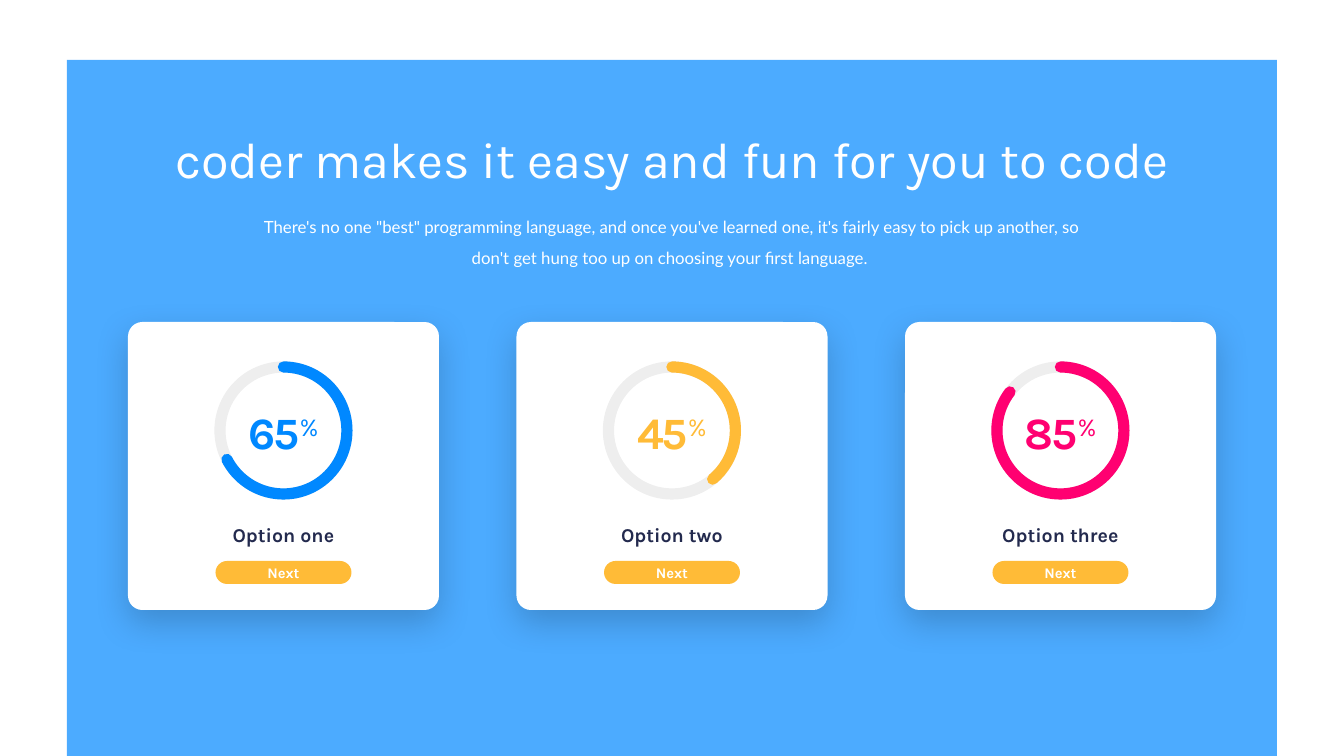
from lxml.etree import SubElement
from pptx import Presentation
from pptx.dml.color import RGBColor
from pptx.enum.shapes import MSO_SHAPE as Kind
from pptx.enum.text import MSO_ANCHOR as Anchor, PP_ALIGN as Align
from pptx.oxml.ns import qn
from pptx.util import Pt

TITLE = "coder makes it easy and fun for you to code"
INTRO = ("There's no one \"best\" programming language, and once you've learned one, "
         "it's fairly easy to pick up another, so don't get hung too up on choosing "
         "your first language. ")
# label, figure, colour, end angle of the arc
CARDS = [
    ("Option one", "65", "0088FF", 152.9),
    ("Option two", "45", "FFBB37", 50.12),
    ("Option three", "85", "FF0071", 217.46),
]
BLUE, GOLD, NAVY, WHITE, GREY = "0088FF", "FFBB37", "232A4E", "FFFFFF", "595959"
WIDE, HIGH = 1344, 756
PITCH = 777 / 2  # two card steps span 777 px
RING = 8  # points


def px(num):
    return round(num * 914400 / 100.8)


def rgb(code):
    return RGBColor.from_string(code)


def spot(mid, top, wide, high):
    """Box centred on mid, in EMU."""
    return [px(n) for n in (mid - wide / 2, top, wide, high)]


def fade(paint, pct):
    """Set the opacity of a solid colour element's parent."""
    tint = paint.find(".//" + qn("a:srgbClr"))
    SubElement(tint, qn("a:alpha"), val=str(pct * 1000))


def shape(home, kind, box, fill=None):
    item = home.shapes.add_shape(kind, *box)
    item.shadow.inherit = False
    item.line.fill.background()
    if fill:
        item.fill.solid()
        item.fill.fore_color.rgb = rgb(fill)
    else:
        item.fill.background()
    return item


def stroke(item, color):
    item.line.color.rgb = rgb(color)
    item.line.width = Pt(RING)
    return item.line._get_or_add_ln()


def style(run, size, color, font, bold):
    run.font.size, run.font.name, run.font.bold = Pt(size), font, bold
    run.font.color.rgb = rgb(color)


def write(item, text, size, color, font="Karla", bold=False):
    frame = item.text_frame
    frame.word_wrap = True
    frame.text = text
    para = frame.paragraphs[0]
    para.alignment = Align.CENTER
    style(para.runs[0], size, color, font, bold)
    return para


def label(home, box, *args, **look):
    return write(home.shapes.add_textbox(*box), *args, **look)


def cast(item):
    """Soft shadow straight below the shape."""
    list_ = item._element.spPr.find(qn("a:effectLst"))
    glow = SubElement(list_, qn("a:outerShdw"), blurRad=str(Pt(25)), dist=str(Pt(9)),
                      dir="5400000", algn="t", rotWithShape="0")
    SubElement(glow, qn("a:srgbClr"), val="000000")
    fade(glow, 18)


def card(slide, mid, name, num, color, end):
    home = slide.shapes.add_group_shape()
    base = shape(home, Kind.ROUNDED_RECTANGLE, spot(mid, 322, 311, 288), WHITE)
    base.adjustments[0] = 0.05
    cast(base)

    ring = spot(mid, 367, 127, 127)
    fade(stroke(shape(home, Kind.OVAL, ring), GREY), 10)
    arc = shape(home, Kind.ARC, ring)
    arc.adjustments[0] = 270 * 0.6
    arc.adjustments[1] = end * 0.6
    stroke(arc, color).set("cap", "rnd")

    para = label(home, spot(mid, 400, 111, 65), num, 32, color, bold=True)
    sign = para.add_run()
    sign.text = "%"
    style(sign, 32, color, "Karla", False)
    for run in para.runs:
        run.font._element.set("spc", "-150")
    sign.font._element.set("baseline", "30000")

    label(home, spot(mid, 518, 177, 34), name, 14, NAVY, bold=True)
    key = shape(home, Kind.ROUNDED_RECTANGLE, spot(mid, 561, 136, 23), GOLD)
    key.adjustments[0] = 0.5
    key.text_frame.vertical_anchor = Anchor.MIDDLE
    write(key, "Next", 10.5, WHITE, bold=True)


def main():
    deck = Presentation()
    deck.slide_width, deck.slide_height = px(WIDE), px(HIGH)
    slide = deck.slides.add_slide(deck.slide_layouts[6])
    mid = WIDE / 2

    panel = shape(slide, Kind.RECTANGLE, spot(mid, 60, 1210, 696), BLUE)
    fade(panel._element.spPr.find(qn("a:solidFill")), 70)
    for i, row in enumerate(CARDS):
        card(slide, mid + (i - 1) * PITCH, *row)
    label(slide, spot(mid, 123, 1059, 72), TITLE, 36, WHITE)
    intro = label(slide, spot(mid, 202, 874, 68), INTRO, 12, WHITE, font="Lato")
    intro.line_spacing = 1.5
    deck.save("out.pptx")


if __name__ == "__main__":
    main()
